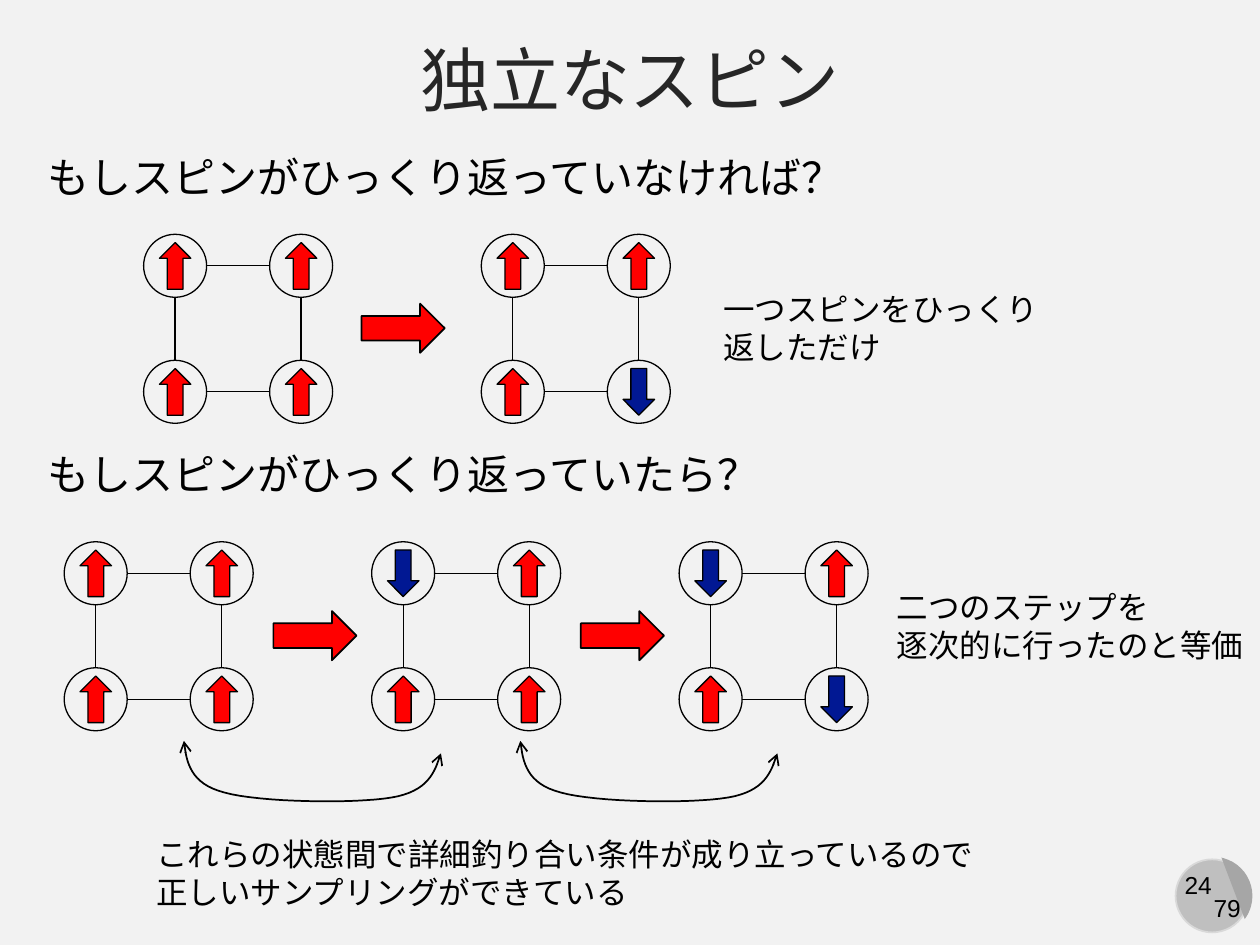
from lxml import etree
from pptx import Presentation
from pptx.dml.color import RGBColor
from pptx.enum.shapes import MSO_CONNECTOR, MSO_SHAPE
from pptx.enum.text import MSO_ANCHOR, MSO_AUTO_SIZE, PP_ALIGN
from pptx.oxml.ns import qn
from pptx.util import Inches, Pt

ELLIPSE, CHORD = MSO_SHAPE.OVAL, MSO_SHAPE.CHORD
DOWN_ARROW, RIGHT_ARROW = MSO_SHAPE.DOWN_ARROW, MSO_SHAPE.RIGHT_ARROW
STRAIGHT = MSO_CONNECTOR.STRAIGHT
CENTER, LEFT = PP_ALIGN.CENTER, PP_ALIGN.LEFT

BLACK = RGBColor(0x00, 0x00, 0x00)
TITLE_GRAY = RGBColor(0x26, 0x26, 0x26)
BACKGROUND = RGBColor(0xF2, 0xF2, 0xF2)
BADGE_FILL = RGBColor(0xBF, 0xBF, 0xBF)
BADGE_LINE = RGBColor(0xD9, 0xD9, 0xD9)
BADGE_HALF = RGBColor(0xA6, 0xA6, 0xA6)
RED = RGBColor(0xFF, 0x00, 0x00)
BLUE = RGBColor(0x01, 0x18, 0x93)
FONT = "Arial"

TITLE = "独立なスピン"
# box, size, alignment, lines
TEXTS = [
    ((9.29, 6.86, 0.44, 0.34), 14, CENTER, ["24"]),
    ((9.53, 7.04, 0.42, 0.34), 14, CENTER, ["79"]),
    ((0.28, 1.15, 6.6, 0.5), 24, LEFT, ["もしスピンがひっくり返っていなければ？"]),
    ((5.64, 2.25, 2.73, 0.71), 18, LEFT, ["一つスピンをひっくり", "返しただけ"]),
    ((0.28, 3.51, 5.92, 0.5), 24, LEFT, ["もしスピンがひっくり返っていたら？"]),
    ((7.02, 4.62, 2.98, 0.71), 18, LEFT, ["二つのステップを", "逐次的に行ったのと等価"]),
    ((1.14, 6.58, 6.77, 0.71), 18, LEFT,
     ["これらの状態間で詳細釣り合い条件が成り立っているので", "正しいサンプリングができている"]),
]

# left, top, spins clockwise from the top left
LATTICES = [
    (1.14, 1.86, ("up", "up", "up", "up")),
    (3.82, 1.86, ("up", "up", "down", "up")),
    (0.51, 4.3, ("up", "up", "up", "up")),
    (2.95, 4.3, ("down", "up", "up", "up")),
    (5.39, 4.3, ("down", "up", "down", "up")),
]
SITES = [(0, 0), (1, 0), (1, 1), (0, 1)]
SITE_SIZE = 0.5
SPIN_WIDTH, SPIN_HEIGHT = 0.25, 0.37
SPIN_STYLES = {"up": (RED, 180), "down": (BLUE, 0)}

STEP_ARROWS = [(2.87, 2.41), (2.17, 4.85), (4.61, 4.85)]

BALANCE_STARTS = [(1.46, 5.88), (4.13, 5.88)]
# Bezier segments relative to the start of each curve
BALANCE_SEGMENTS = [
    [(0, 0), (0.02, 0.17), (0.05, 0.34), (0.32, 0.41)],
    [(0.32, 0.41), (0.6, 0.49), (1.36, 0.5), (1.65, 0.45)],
    [(1.65, 0.45), (1.94, 0.4), (1.99, 0.25), (2.04, 0.1)],
]
CURVE_STEPS = 16


def add_preset(shapes, kind, box, fill=None, line=None, width=0.75, rotation=0):
    shape = shapes.add_shape(kind, *map(Inches, box))
    shape.shadow.inherit = False
    shape.rotation = rotation
    if fill is None:
        shape.fill.background()
    else:
        shape.fill.solid()
        shape.fill.fore_color.rgb = fill
    if line is None:
        shape.line.fill.background()
    else:
        shape.line.color.rgb = line
        shape.line.width = Pt(width)
    return shape


def write_lines(frame, lines, size, color, alignment):
    font_format = {"name": FONT, "size": Pt(size)}
    for index, text in enumerate(lines):
        paragraph = frame.add_paragraph() if index else frame.paragraphs[0]
        paragraph.alignment = alignment
        run = paragraph.add_run()
        run.text = text
        run.font.color.rgb = color
        for name, value in font_format.items():
            setattr(run.font, name, value)


def add_text(shapes, box, size, alignment, lines):
    frame = shapes.add_textbox(*map(Inches, box)).text_frame
    frame.word_wrap = False
    frame.auto_size = MSO_AUTO_SIZE.SHAPE_TO_FIT_TEXT
    write_lines(frame, lines, size, BLACK, alignment)


def add_bond(shapes, start, end):
    bond = shapes.add_connector(STRAIGHT, *map(Inches, (*start, *end)))
    bond.line.color.rgb = BLACK
    bond.line.width = Pt(0.75)
    etree.SubElement(bond._element.spPr, qn("a:effectLst"))


def add_lattice(slide, left, top, spins):
    """Four circled spins on a square whose spacing is twice the circle size."""
    shapes = slide.shapes.add_group_shape().shapes
    for (column, row), spin in zip(SITES, spins):
        x = left + 2 * SITE_SIZE * column
        y = top + 2 * SITE_SIZE * row
        add_preset(shapes, ELLIPSE, (x, y, SITE_SIZE, SITE_SIZE), line=BLACK)
        fill, rotation = SPIN_STYLES[spin]
        box = (x + (SITE_SIZE - SPIN_WIDTH) / 2, y + (SITE_SIZE - SPIN_HEIGHT) / 2,
               SPIN_WIDTH, SPIN_HEIGHT)
        add_preset(shapes, DOWN_ARROW, box, fill, BLACK, rotation=rotation)
    near, far = SITE_SIZE, 2 * SITE_SIZE
    for side in (0, 1):
        middle = SITE_SIZE / 2 + far * side
        add_bond(shapes, (left + middle, top + near), (left + middle, top + far))
        add_bond(shapes, (left + far, top + middle), (left + near, top + middle))


def bezier_point(controls, t):
    weights = ((1 - t) ** 3, 3 * t * (1 - t) ** 2, 3 * t ** 2 * (1 - t), t ** 3)
    return tuple(sum(w * c for w, c in zip(weights, axis)) for axis in zip(*controls))


def add_balance_curve(shapes, left, top):
    points = [bezier_point(segment, step / CURVE_STEPS)
              for segment in BALANCE_SEGMENTS for step in range(1, CURVE_STEPS + 1)]
    builder = shapes.build_freeform(Inches(left), Inches(top), scale=1.0)
    builder.add_line_segments(
        [(Inches(left + x), Inches(top + y)) for x, y in points], close=False)
    curve = builder.convert_to_shape()
    curve.shadow.inherit = False
    curve.fill.background()
    curve.line.color.rgb = BLACK
    curve.line.width = Pt(1)
    line = curve.line._get_or_add_ln()
    for end in ("a:headEnd", "a:tailEnd"):
        etree.SubElement(line, qn(end), type="arrow")


def main():
    presentation = Presentation()
    presentation.slide_width, presentation.slide_height = Inches(10), Inches(7.5)
    slide = presentation.slides.add_slide(presentation.slide_layouts[5])
    slide.background.fill.solid()
    slide.background.fill.fore_color.rgb = BACKGROUND
    shapes = slide.shapes

    title = shapes.title
    title.left, title.top, title.width, title.height = map(Inches, (0, 0.21, 10, 0.82))
    title.text_frame.vertical_anchor = MSO_ANCHOR.MIDDLE
    write_lines(title.text_frame, [TITLE], 40, TITLE_GRAY, CENTER)

    add_preset(shapes, ELLIPSE, (9.33, 6.82, 0.58, 0.58), BADGE_FILL, BADGE_LINE, 1)
    half = add_preset(shapes, CHORD, (9.32, 6.8, 0.62, 0.62), BADGE_HALF, rotation=255)
    for index, degrees in enumerate((27, 141.42)):
        half.adjustments[index] = degrees * 0.6

    for lattice in LATTICES:
        add_lattice(slide, *lattice)
    for left, top in STEP_ARROWS:
        add_preset(shapes, RIGHT_ARROW, (left, top, 0.66, 0.39), RED, BLACK, 1)
    for left, top in BALANCE_STARTS:
        add_balance_curve(shapes, left, top)
    for text in TEXTS:
        add_text(shapes, *text)

    presentation.save("out.pptx")


if __name__ == "__main__":
    main()
